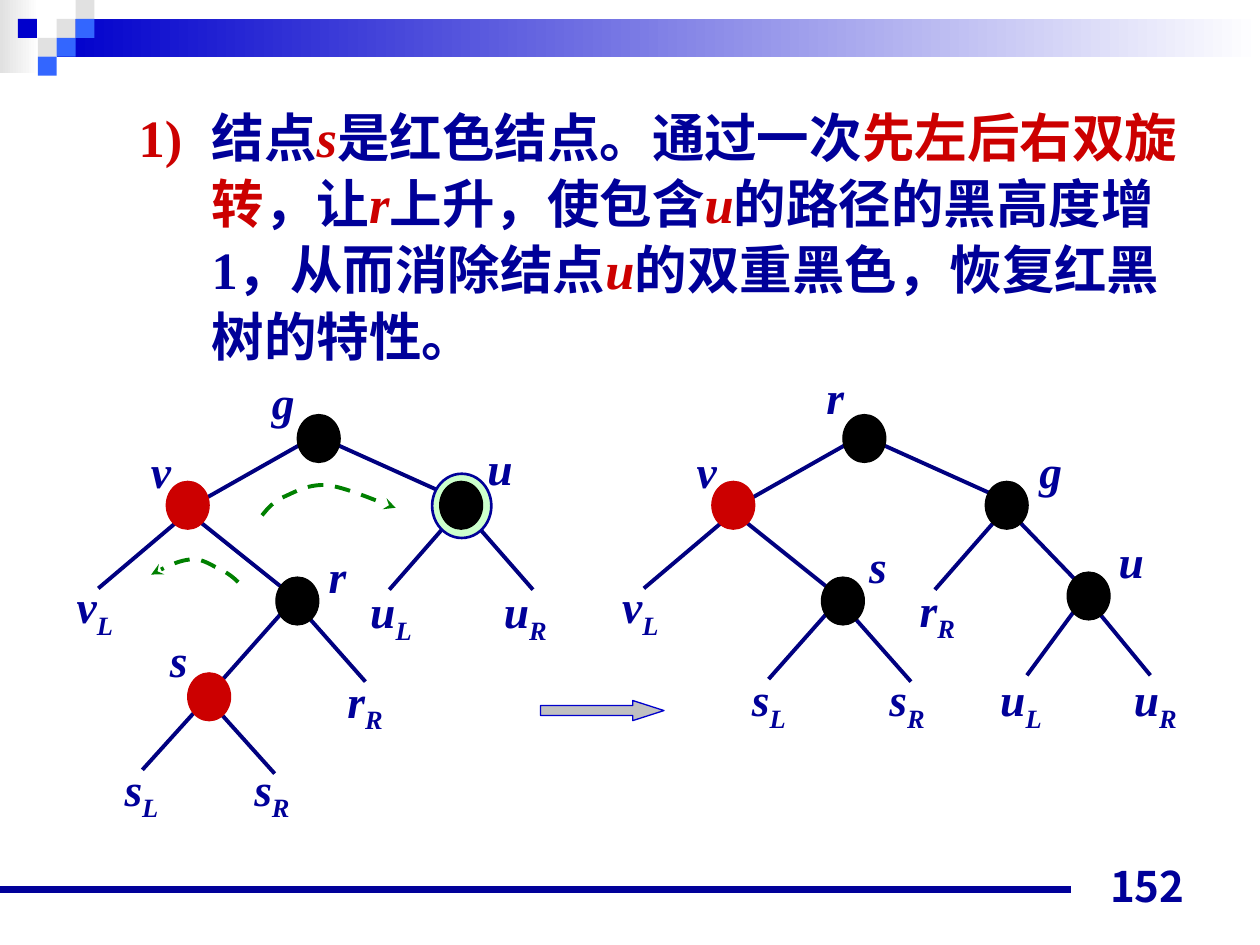
import pptx
import pptx.dml.color
import pptx.enum.dml
import pptx.enum.shapes
import pptx.enum.text
import pptx.oxml.ns
import pptx.util
from lxml import etree

COLORS = {
    "navy": "000099", "edge": "000080", "blue": "0000CC", "sky": "3366FF",
    "red": "CC0000", "black": "000000", "white": "FFFFFF", "mist": "E1E1E1",
    "silver": "C0C0C0", "mint": "CCFFCC", "green": "008000",
}
LATIN, CHINESE = "Times New Roman", "Noto Sans CJK JP"
SHAPE = pptx.enum.shapes.MSO_SHAPE
ALIGN = pptx.enum.text.PP_ALIGN
qn = pptx.oxml.ns.qn

# The slide is a grid of 100 columns by 75 rows
CELL = pptx.util.Inches(0.1)
COLUMNS, ROWS = 100, 75

# Parts that both trees have, in cells from the tree's top left corner
SHARED_EDGES = [
    (21.2, 6.3, 30.3, 10.4), (30.7, 12.4, 25.8, 18), (19.3, 20.1, 23.9, 25.3),
    (10.5, 12.4, 17.5, 18), (19.6, 6, 11.3, 10.7), (9.2, 12.4, 2.7, 17.9),
    (17.3, 19.8, 12.6, 25.1),
]
SHARED_NODES = [(18.5, 4.1, "black"), (8.1, 9.4, "red"),
                (16.8, 17, "black"), (29.8, 9.4, "black")]
SHARED_LABELS = [("v", 5.9, 5.9), ("v_L", 0, 16.6)]

# Parts of one tree only
BEFORE = {
    "edges": [(32.3, 12.4, 37.2, 18), (12.3, 27.7, 16.7, 32.6),
              (10.9, 27.1, 6.2, 32.3)],
    "nodes": [(9.8, 24.6, "red")],
    "labels": [("g", 15.5, 0.4), ("u", 32.6, 5.6), ("u_L", 23.3, 17),
               ("u_R", 33.9, 17), ("r", 20, 14.2), ("s", 7.4, 20.9),
               ("r_R", 21.5, 24.1), ("s_L", 3.8, 31.1), ("s_R", 14.1, 31.1)],
    "halo": (29.2, 8.8),
}
AFTER = {
    "edges": [(32.3, 12.4, 37.8, 18.1), (38.7, 19.7, 42.9, 24.8),
              (37.3, 19.1, 33.1, 24.8)],
    "nodes": [(36.3, 16.6, "black")],
    "labels": [("r", 16.2, 0), ("g", 33.1, 5.9), ("u", 39.4, 13),
               ("s", 19.6, 13.4), ("r_R", 23.6, 16.9), ("s_L", 10.3, 24),
               ("s_R", 21.2, 24), ("u_L", 30, 24), ("u_R", 40.6, 24)],
    "halo": None,
}


def rgb(name):
    return pptx.dml.color.RGBColor.from_string(COLORS[name])


def cells(*counts):
    return [round(count * CELL) for count in counts]


def add_filled(shapes, kind, box, fill, line=None, width=0.75):
    """Add a preset shape; a pair of fill colours makes a gradient."""
    shape = shapes.add_shape(kind, *cells(*box))
    shape.shadow.inherit = False
    if isinstance(fill, tuple):
        shape.fill.gradient()
        shape.fill.gradient_angle = 180
        for stop, color in zip(shape.fill.gradient_stops, fill):
            stop.color.rgb = rgb(color)
    else:
        shape.fill.solid()
        shape.fill.fore_color.rgb = rgb(fill)
    if line:
        shape.line.color.rgb = rgb(line)
        shape.line.width = pptx.util.Pt(width)
    else:
        shape.line.fill.background()
    return shape


def add_line(shapes, ends, color, width):
    line = shapes.add_connector(pptx.enum.shapes.MSO_CONNECTOR.STRAIGHT, *cells(*ends))
    line.line.color.rgb = rgb(color)
    line.line.width = pptx.util.Pt(width)
    etree.SubElement(line._element.spPr, qn("a:effectLst"))


def format_paragraph(paragraph, size, alignment, font=LATIN):
    paragraph.alignment = alignment
    paragraph.font.size = pptx.util.Pt(size)
    paragraph.font.name = font
    paragraph.font.bold = True
    paragraph.font.color.rgb = rgb("navy")
    defaults = paragraph._p.pPr.find(qn("a:defRPr"))
    etree.SubElement(defaults, qn("a:ea")).set("typeface", CHINESE)


def add_text(shapes, box):
    frame = shapes.add_textbox(*cells(*box)).text_frame
    frame.word_wrap = True
    return frame


def add_banner(shapes, square):
    """Gradient bars with a mosaic of squares of the given side."""
    add_filled(shapes, SHAPE.RECTANGLE, (0, 0, 3.1, 5.8), ("white", "mist"))
    add_filled(shapes, SHAPE.RECTANGLE,
               (3 * square, square, COLUMNS - 3 * square, 2 * square), ("white", "blue"))
    mosaic = [(3, 1, "mist"), (4, 0, "mist"), (4, 1, "sky"), (2, 2, "mist"),
              (0.95, 1, "blue"), (3, 2, "sky"), (2, 3, "sky")]
    for column, row, color in mosaic:
        add_filled(shapes, SHAPE.RECTANGLE,
                   (column * square, row * square, square, square), color)


def fill_body(body, box):
    """Numbered statement; pieces between bars are red, single letters italic."""
    body.left, body.top, body.width, body.height = cells(*box)
    frame = body.text_frame
    frame.word_wrap = True
    frame.auto_size = pptx.enum.text.MSO_AUTO_SIZE.NONE
    paragraph = frame.paragraphs[0]
    paragraph.line_spacing = 1.05
    paragraph.space_before = pptx.util.Pt(0)
    properties = paragraph._p.get_or_add_pPr()
    properties.set("marL", str(pptx.util.Inches(1.08)))
    properties.set("indent", str(pptx.util.Inches(-0.58)))
    etree.SubElement(properties, qn("a:buNone"))
    format_paragraph(paragraph, 30, ALIGN.LEFT)
    statement = ("|1)\t|结点|s|是红色结点。通过一次|先左后右双旋转|，让|r|上升，使包含|u|"
                 "的路径的黑高度增1，从而消除结点|u|的双重黑色，恢复红黑树的特性。")
    for index, piece in enumerate(statement.split("|")):
        if piece:
            run = paragraph.add_run()
            run.text = piece
            if index % 2:
                run.font.color.rgb = rgb("red")
                run.font.italic = len(piece) == 1


def add_label(shapes, text, left, top):
    paragraph = add_text(shapes, (left, top, 10.4, 8.7)).paragraphs[0]
    format_paragraph(paragraph, 26, ALIGN.JUSTIFY)
    paragraph.font.italic = True
    letter, _, subscript = text.partition("_")
    paragraph.add_run().text = letter
    if subscript:
        run = paragraph.add_run()
        run.text = subscript
        run._r.get_or_add_rPr().set("baseline", "-25000")


def add_tree(slide, left, top, tree):
    shapes = slide.shapes.add_group_shape().shapes
    for x1, y1, x2, y2 in SHARED_EDGES + tree["edges"]:
        add_line(shapes, (left + x1, top + y1, left + x2, top + y2), "edge", 2.25)
    if tree["halo"]:
        x, y = tree["halo"]
        add_filled(shapes, SHAPE.OVAL, (left + x, top + y, 4.7, 5.1), "mint", "navy", 1.5)
    for x, y, color in SHARED_NODES + tree["nodes"]:
        add_filled(shapes, SHAPE.OVAL, (left + x, top + y, 3.4, 3.8), color, color)
    for text, x, y in SHARED_LABELS + tree["labels"]:
        add_label(shapes, text, left + x, top + y)


def add_rotation_arrow(shapes, points):
    """Dashed curve: a start point, then three points for each Bézier segment."""
    start, *others = [cells(*point) for point in points]
    builder = shapes.build_freeform(*start)
    builder.add_line_segments(others, close=False)
    curve = builder.convert_to_shape()
    curve.shadow.inherit = False
    curve.fill.background()
    curve.line.color.rgb = rgb("green")
    curve.line.width = pptx.util.Pt(2.25)
    curve.line.dash_style = pptx.enum.dml.MSO_LINE.DASH
    properties = curve._element.spPr
    outline = properties.find(".//" + qn("a:path"))
    segments = outline.findall(qn("a:lnTo"))
    for first in range(0, len(segments), 3):
        bezier = etree.SubElement(outline, qn("a:cubicBezTo"))
        for segment in segments[first:first + 3]:
            bezier.append(segment[0])
            outline.remove(segment)
    etree.SubElement(properties.find(qn("a:ln")), qn("a:tailEnd")).set("type", "stealth")


def add_footer(shapes, top):
    add_line(shapes, (0, top, 0.85 * COLUMNS, top), "navy", 4.5)
    frame = add_text(shapes, (71.7, top - 2.8, 23.3, 5))
    frame.vertical_anchor = pptx.enum.text.MSO_ANCHOR.BOTTOM
    frame.text = "152"
    format_paragraph(frame.paragraphs[0], 24, ALIGN.RIGHT, CHINESE)


def main():
    presentation = pptx.Presentation()
    presentation.slide_width, presentation.slide_height = cells(COLUMNS, ROWS)
    slide = presentation.slides.add_slide(presentation.slide_layouts[1])
    title = slide.shapes.title._element
    title.getparent().remove(title)

    add_banner(slide.shapes, 1.5)
    add_footer(slide.shapes, 70.6)
    fill_body(slide.placeholders[1], (5, 7.6, 90, 24))

    # Trees before and after the double rotation
    add_tree(slide, 5.1, 28.8, BEFORE)
    add_tree(slide, 48.4, 28.8, AFTER)
    arrow = add_filled(slide.shapes, SHAPE.RIGHT_ARROW, (42.9, 55.6, 9.8, 1.6),
                       "silver", "blue")
    arrow.adjustments[1] = 1.555

    # Directions of the two rotations
    add_rotation_arrow(slide.shapes, [
        (20.8, 40.9), (21.3, 40.3), (21.7, 39.8), (22.6, 39.4), (23.5, 39),
        (24.5, 38.4), (26, 38.5), (27.4, 38.7), (30.5, 40), (31.4, 40.3)])
    add_rotation_arrow(slide.shapes, [
        (18.9, 46.2), (18.4, 45.7), (17.8, 45.3), (17.1, 45), (16.5, 44.7),
        (15.9, 44.3), (15.1, 44.4), (14.2, 44.5), (12.7, 45.2), (12, 45.6)])
    presentation.save("out.pptx")


if __name__ == "__main__":
    main()
